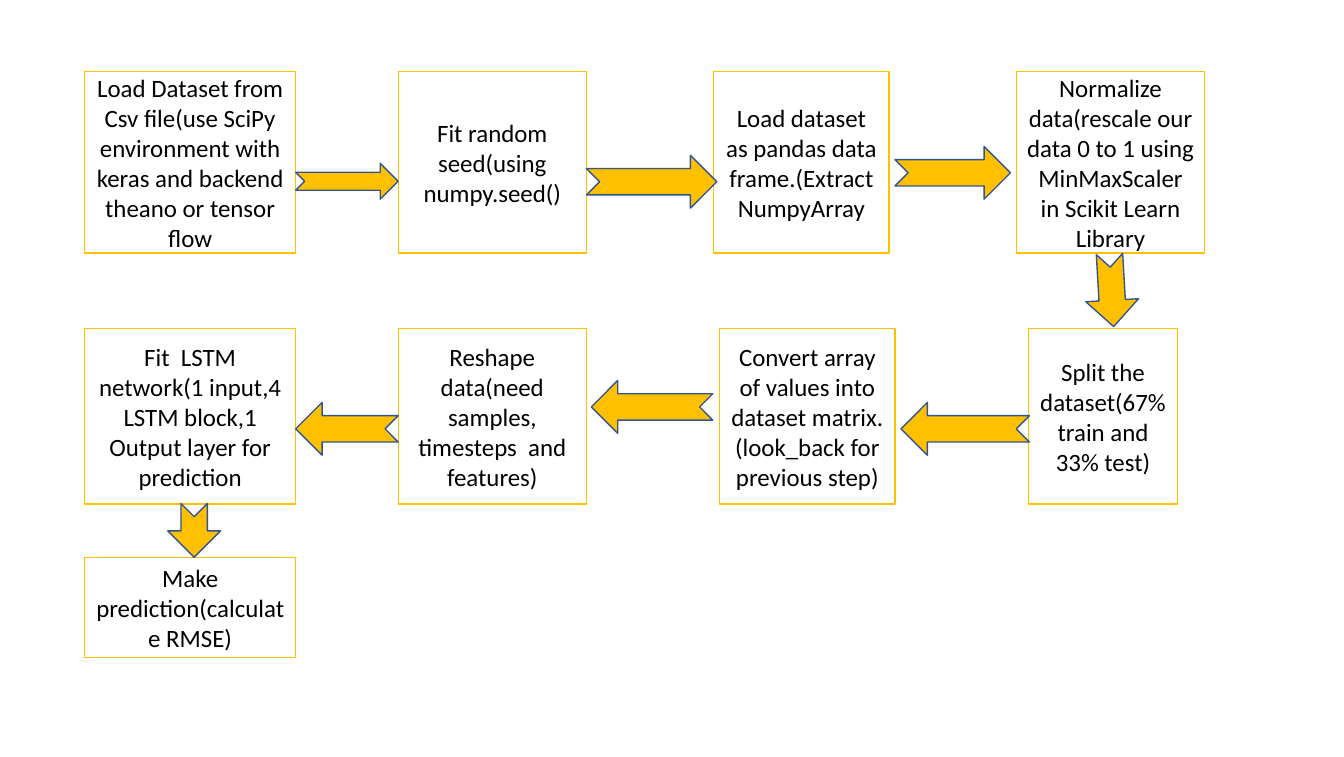
from pptx import Presentation
from pptx.dml.color import RGBColor
from pptx.enum.shapes import MSO_SHAPE as Preset
from pptx.enum.text import MSO_ANCHOR as Anchor, PP_ALIGN as Align
from pptx.util import Cm, Pt

CM_PER_INCH = 2.54
WHITE, BLACK, AMBER, NAVY = "FFFFFF", "000000", "FFC000", "325491"
FONT = {"name": "Calibri", "size": Pt(18)}
FRAME = {"word_wrap": True, "vertical_anchor": Anchor.MIDDLE}

# Each row of steps: top, height, then (left, width, paragraphs) per step, in inches
STEP_ROWS = [
    (0.72, 1.82, [
        (0.85, 2.12, ["Load Dataset from ",
                      "Csv file(use SciPy environment with keras and backend "
                      "theano or tensor flow"]),
        (4, 1.89, ["Fit random seed(using numpy.seed()"]),
        (7.17, 1.76, ["Load dataset as pandas data frame.(Extract NumpyArray"]),
        (10.21, 1.89, ["Normalize data(rescale our data 0 to 1 using "
                       "MinMaxScaler in Scikit Learn Library"]),
    ]),
    (3.3, 1.76, [
        (10.33, 1.5, ["Split the dataset(67% train and 33% test)"]),
        (7.23, 1.76, ["Convert array of values into dataset matrix."
                      "(look_back for previous step)"]),
        (4, 1.89, ["Reshape data(need samples, timesteps  and features)"]),
        (0.85, 2.12, ["Fit  LSTM network(1 input,4 LSTM block,1 Output layer "
                      "for prediction"]),
    ]),
    (5.6, 1, [
        (0.85, 2.12, ["Make prediction(calculate RMSE)"]),
    ]),
]

# Left, top, width, height in inches, then rotation in degrees
ARROWS = [
    (2.97, 1.64, 1.03, 0.36, 0),
    (5.89, 1.56, 1.31, 0.53, 0),
    (8.99, 1.47, 1.16, 0.53, 0),
    (10.8, 2.65, 0.73, 0.53, 86.7),
    (9.05, 4.04, 1.29, 0.53, 180),
    (5.94, 3.82, 1.22, 0.53, 180),
    (2.97, 4.04, 1.03, 0.53, 180),
    (1.68, 5.06, 0.54, 0.53, 90),
]


def from_inches(value):
    return Cm(round(value * CM_PER_INCH, 4))


def set_colour(target, value):
    target.rgb = RGBColor.from_string(value)


def apply_format(target, values):
    for name, value in values.items():
        setattr(target, name, value)


def add_outlined(page, preset, bounds, fill, line):
    shape = page.shapes.add_shape(preset, *map(from_inches, bounds))
    shape.shadow.inherit = False
    shape.fill.solid()
    set_colour(shape.fill.fore_color, fill)
    set_colour(shape.line.color, line)
    shape.line.width = Pt(1)
    return shape


def add_step(page, bounds, lines):
    box = add_outlined(page, Preset.RECTANGLE, bounds, WHITE, AMBER)
    frame = box.text_frame
    apply_format(frame, FRAME)
    for index, line in enumerate(lines):
        para = frame.add_paragraph() if index else frame.paragraphs[0]
        para.alignment = Align.CENTER
        span = para.add_run()
        span.text = line
        apply_format(span.font, FONT)
        set_colour(span.font.color, BLACK)


def add_arrow(page, bounds, rotation):
    arrow = add_outlined(page, Preset.NOTCHED_RIGHT_ARROW, bounds, AMBER, NAVY)
    arrow.rotation = rotation


def main():
    deck = Presentation()
    deck.slide_width = from_inches(13.5)
    deck.slide_height = from_inches(7.6)
    page = deck.slides.add_slide(deck.slide_layouts.get_by_name("Blank"))
    for top, height, steps in STEP_ROWS:
        for left, width, lines in steps:
            add_step(page, (left, top, width, height), lines)
    for *bounds, rotation in ARROWS:
        add_arrow(page, bounds, rotation)
    deck.save("out.pptx")


if __name__ == "__main__":
    main()
